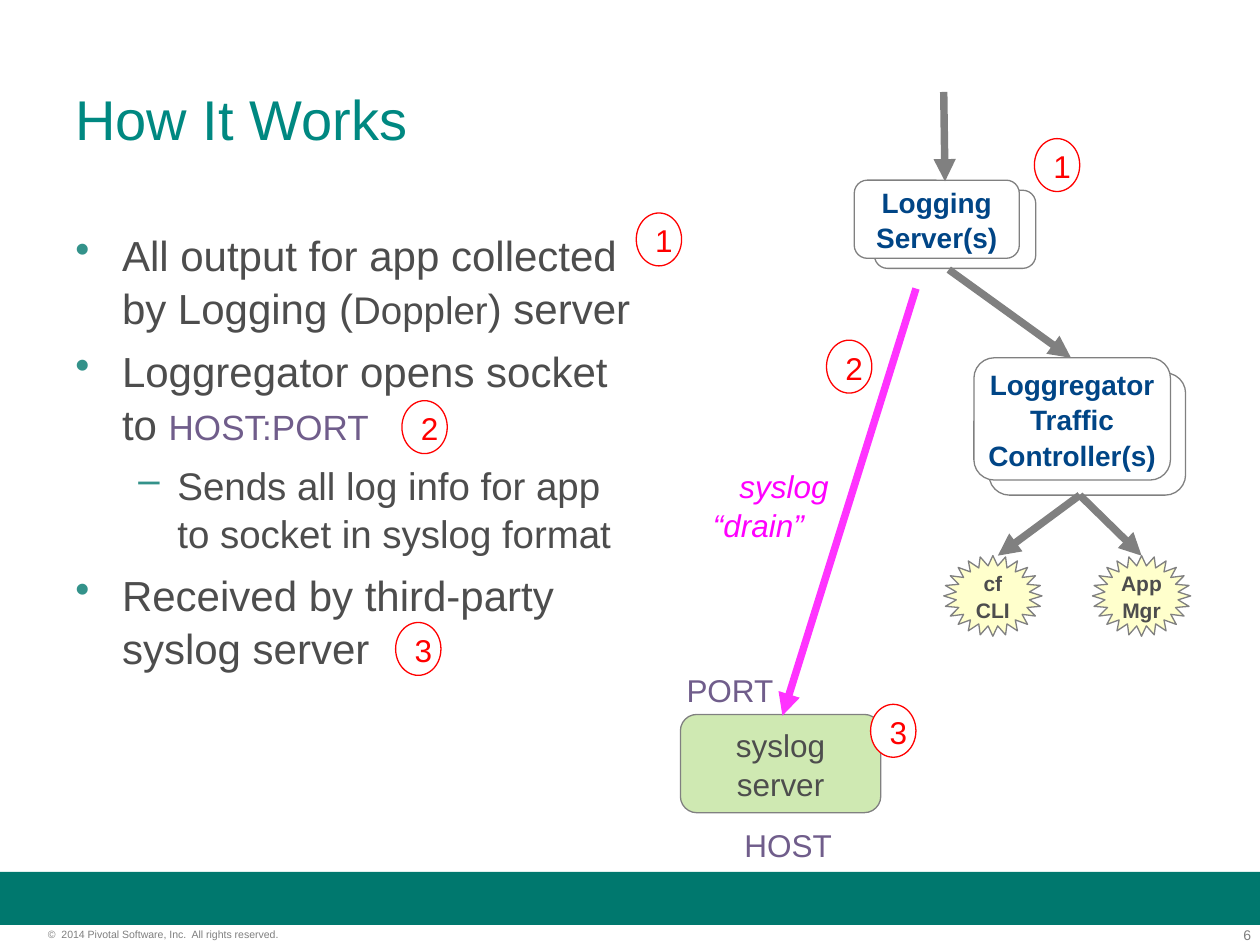
from lxml.etree import SubElement
from pptx import Presentation
from pptx.dml.color import RGBColor
from pptx.enum.shapes import MSO_CONNECTOR, MSO_SHAPE
from pptx.enum.text import MSO_ANCHOR, PP_ALIGN
from pptx.oxml.ns import qn
from pptx.util import Inches, Pt

COLS, ROWS = 100, 75  # the slide's grid
GREY, DARK, PLUM, RED = "808080", "4D4D4D", "705D8B", "FF0000"

deck = Presentation()
deck.slide_width, deck.slide_height = Inches(10), Inches(7.5)
slide = deck.slides.add_slide(deck.slide_layouts[6])
shapes = slide.shapes


def color(code):
    return RGBColor.from_string(code)


def point(box, x, y):
    """Slide position of a grid point measured from the box's corner."""
    return (int((box[0] + x) * deck.slide_width / COLS),
            int((box[1] + y) * deck.slide_height / ROWS))


def place(box, x, y, w, h):
    return *point(box, x, y), *point((0, 0), w, h)


def style(para, size, code, align=PP_ALIGN.LEFT, bold=False, italic=False):
    para.alignment = align
    para.line_spacing = 1.05
    font = para.font
    font.name, font.size = "Arial", Pt(size)
    font.bold, font.italic = bold, italic
    font.color.rgb = color(code)


def write(shape, lines, size, code, anchor=MSO_ANCHOR.TOP, wrap=False,
          inset=True, **look):
    frame = shape.text_frame
    frame.word_wrap, frame.vertical_anchor = wrap, anchor
    if not inset:
        frame.margin_left = frame.margin_right = 0
        frame.margin_top = frame.margin_bottom = 0
    for i, line in enumerate(lines):
        para = frame.add_paragraph() if i else frame.paragraphs[0]
        para.add_run().text = line
        style(para, size, code, **look)
    return frame


def label(box, spot, lines, size, code, **look):
    text = shapes.add_textbox(*place(box, *spot))
    return write(text, lines, size, code, **look)


def shape(box, spot, kind, fill, line=None):
    item = shapes.add_shape(kind, *place(box, *spot))
    item.shadow.inherit = False
    item.fill.solid()
    item.fill.fore_color.rgb = color(fill)
    if line:
        item.line.color.rgb = color(line)
        item.line.width = Pt(0.75)
    else:
        item.line.fill.background()
    return item


def node(box, spot, kind, fill, lines, size, code, bold=False):
    item = shape(box, spot, kind, fill, GREY)
    write(item, lines, size, code, MSO_ANCHOR.MIDDLE,
          align=PP_ALIGN.CENTER, bold=bold)


def badge(box, x, y, mark):
    item = shape(box, (x, y, 3.6, 4.2), MSO_SHAPE.OVAL, "FFFFFF", RED)
    write(item, [mark], 18, RED, MSO_ANCHOR.MIDDLE, wrap=True)


def arrow(box, start, end, code=GREY):
    line = shapes.add_connector(MSO_CONNECTOR.STRAIGHT,
                                *point(box, *start), *point(box, *end))
    line.line.color.rgb = color(code)
    line.line.width = Pt(4.25)
    SubElement(line.line._get_or_add_ln(), qn("a:tailEnd"), type="triangle")
    SubElement(line._element.spPr, qn("a:effectLst"))


def bullet(para, level):
    left, hang, mark = ((0.37, 0.37, "•"), (0.81, 0.31, "–"))[level]
    para.level = level
    props = para._p.get_or_add_pPr()
    props.set("marL", str(Inches(left)))
    props.set("indent", str(-Inches(hang)))
    tint = SubElement(props, qn("a:buClr"))
    SubElement(tint, qn("a:srgbClr"), val="33928A")
    SubElement(props, qn("a:buChar"), char=mark)


def footer(box):
    shape(box, (0, 0, box[2], 4.2), MSO_SHAPE.RECTANGLE, "00786E")
    label(box, (93.5, 4.3, 5.8, 1.3), ["6"], 8, "7F7F7F",
          inset=False, wrap=True, align=PP_ALIGN.RIGHT)
    label(box, (3.8, 4.4, 24.9, 1),
          ["©  2014 Pivotal Software, Inc.  All rights reserved."],
          6, "7F7F7F", inset=False)


def title(box):
    label(box, (0, 0, *box[2:]), ["How It Works"], 32, "008881",
          anchor=MSO_ANCHOR.MIDDLE, wrap=True)


def steps(box):
    # Each item: level, size, runs; a run may have its own size and colour
    items = [
        (0, 24, [("All output for app collected by Logging (",),
                 ("Doppler", 22, DARK), (") server",)]),
        (0, 24, [("Loggregator opens socket to ",),
                 ("HOST:PORT", 20, PLUM)]),
        (1, 22, [("Sends all log info for app to socket in syslog format",)]),
        (0, 24, [("Received by third-party syslog server",)]),
    ]
    frame = shapes.add_textbox(*place(box, 0, 0, *box[2:])).text_frame
    frame.word_wrap = True
    for i, (level, size, runs) in enumerate(items):
        para = frame.add_paragraph() if i else frame.paragraphs[0]
        bullet(para, level)
        style(para, size, DARK)
        if i:
            para.space_before = Pt(6)
        for words, *own in runs:
            run = para.add_run()
            run.text = words
            if own:
                run.font.size = Pt(own[0])
                run.font.color.rgb = color(own[1])
    for spot in ((45.5, -0.6, "1"), (26.9, 14.3, "2"), (26.4, 31.9, "3")):
        badge(box, *spot)


def flow(box):
    card, star = MSO_SHAPE.ROUNDED_RECTANGLE, MSO_SHAPE.STAR_24_POINT
    # Syslog server and its labels
    node(box, (0.5, 49.4, 15.9, 7.8), card, "CFE9B2",
         ["syslog", "server"], 18, DARK)
    drain = label(box, (2.1, 29.1, 13.1, 7), ["syslog", "“drain”"], 18,
                  "FF00FF", wrap=True, italic=True)
    drain.paragraphs[0]._p.get_or_add_pPr().set("marL", str(Inches(0.21)))
    for x, y, name in ((0, 45.3, "PORT"), (4.6, 57.6, "HOST")):
        tag = shape(box, (x, y, 8.9, 4), MSO_SHAPE.RECTANGLE, "FFFFFF")
        write(tag, [name], 18, PLUM)
    for spot in ((12.1, 19.7, "2"), (28.6, 3.7, "1"), (15.6, 48.6, "3")):
        badge(box, *spot)
    # Stacked servers, the rear card first
    for rear, front, lines in (
            ((15.9, 7.8, 12.8, 6.2), (14.3, 7, 13.1, 6.2),
             ["Logging", "Server(s)"]),
            ((25, 22.3, 15.6, 9.7), (23.8, 21.1, 15.6, 9.7),
             ["Loggregator", "Traffic", "Controller(s)"])):
        shape(box, rear, card, "FFFFFF", GREY)
        node(box, front, card, "FFFFFF", lines, 16, "004586", bold=True)
    # Clients
    for x, lines in ((21.4, ["cf", "CLI"]), (33.2, ["App", "Mgr"])):
        node(box, (x, 36.8, 7.8, 6.4), star, "FFFFCC", lines, 12, DARK,
             bold=True)
    # Paths of the log data
    fork = (32.2, 32)
    arrow(box, (21.8, 14.1), (31.5, 21.1))
    arrow(box, (21.4, 0), (21.5, 7.1))
    arrow(box, fork, (25.7, 36.8))
    arrow(box, fork, (37.1, 36.8))
    arrow(box, (19.2, 15.6), (8.6, 49.5), "FF33FF")


footer((0, 69.2, 100, 5.8))
title((5, 3, 90, 12.5))
steps((5, 17.5, 46.9, 49.5))
flow((53.5, 7.3, 41, 61.6))
deck.save("out.pptx")
